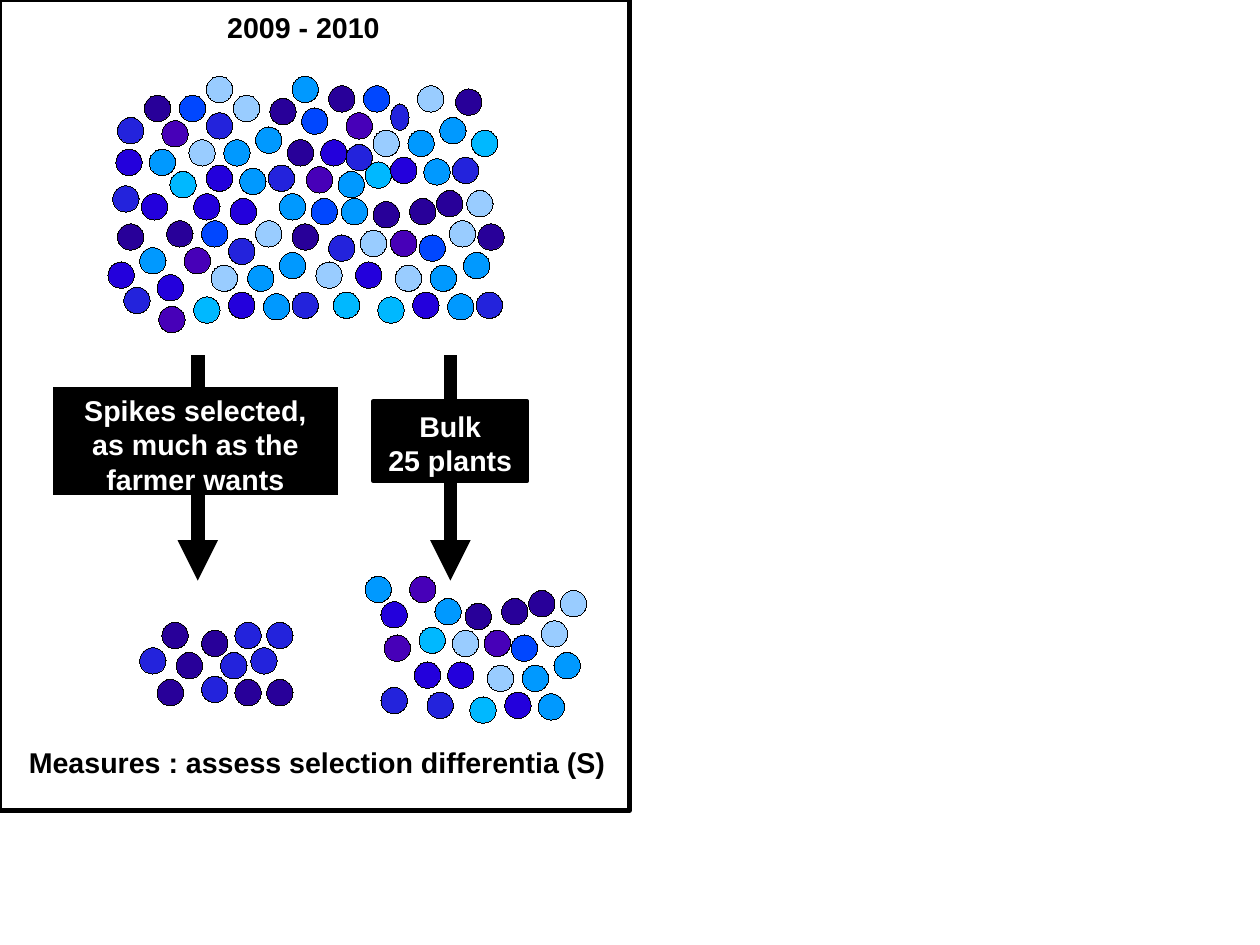
import pptx
import pptx.util
import pptx.dml.color
import pptx.enum.shapes
import pptx.enum.text
import pptx.oxml
import pptx.oxml.ns

Pt = pptx.util.Pt
RGB = pptx.dml.color.RGBColor
SHAPE = pptx.enum.shapes.MSO_SHAPE
TEXT = pptx.enum.text

BLACK = RGB(0, 0, 0)
WHITE = RGB(255, 255, 255)
CYAN = RGB(0x00, 0xB8, 0xFF)
SKY = RGB(0x00, 0x99, 0xFF)
PALE = RGB(0x99, 0xCC, 0xFF)
AZURE = RGB(0x00, 0x47, 0xFF)
ROYAL = RGB(0x23, 0x23, 0xDC)
BLUE = RGB(0x23, 0x00, 0xDC)
PURPLE = RGB(0x47, 0x00, 0xB8)
NAVY = RGB(0x28, 0x00, 0x99)

# Left and top of every plant, in points, by colour
FIELD = {
    CYAN: [(297, 82), (238, 187), (122, 187), (107, 108), (230, 102), (210, 184)],
    PURPLE: [(193, 105), (116, 156), (102, 76), (218, 71), (246, 145), (100, 193)],
    SKY: [(271, 167), (282, 185), (292, 159), (156, 167), (166, 185), (176, 159),
          (141, 88), (151, 106), (161, 80), (257, 82), (267, 100), (277, 74),
          (176, 122), (215, 125), (88, 156), (184, 48), (94, 94), (213, 108)],
    PALE: [(249, 167), (283, 139), (133, 167), (161, 139), (119, 88), (147, 60),
           (235, 82), (263, 54), (199, 165), (227, 145), (130, 48), (294, 120)],
    ROYAL: [(71, 117), (300, 184), (144, 150), (184, 184), (130, 71), (169, 104),
            (285, 99), (207, 148), (78, 181), (218, 91), (74, 74)],
    AZURE: [(190, 68), (127, 139), (113, 60), (229, 54), (196, 125), (264, 148)],
    BLUE: [(260, 184), (122, 122), (144, 184), (99, 173), (130, 104), (73, 94),
           (246, 99), (202, 88), (145, 125), (224, 165), (68, 165), (89, 122)],
    NAVY: [(181, 88), (301, 141), (105, 139), (184, 141), (91, 60), (170, 62),
           (207, 54), (287, 56), (235, 127), (74, 141), (258, 125), (275, 120)],
}
BULK = {
    SKY: [(329, 419), (339, 437), (349, 411), (274, 377), (230, 363)],
    PALE: [(307, 419), (341, 391), (285, 397), (353, 372)],
    CYAN: [(296, 439), (264, 395)],
    BLUE: [(318, 436), (282, 417), (240, 379), (261, 417)],
    PURPLE: [(305, 397), (258, 363), (242, 400)],
    NAVY: [(293, 380), (316, 377), (333, 372)],
    AZURE: [(322, 400)],
    ROYAL: [(240, 433), (269, 436)],
}
SPIKES = {
    NAVY: [(99, 428), (102, 392), (111, 411), (148, 428), (168, 428), (127, 397)],
    ROYAL: [(148, 392), (168, 392), (158, 408), (88, 408), (139, 411), (127, 426)],
}
DOT = 16.6
SLIM = (246.2, 65.5, 11.5, DOT)
HAIR = 0.01

YEARS = "2009 - 2010"
NOTE = "Measures : assess selection differentia (S)"
# Lines, box, outline width, side and top insets
STEPS = [
    (["Spikes selected, as much as the farmer wants"],
     (33.8, 244.1, 178.6, 67.7), HAIR, 7.2, 3.6),
    (["Bulk", "25 plants"], (235.4, 252.7, 96.5, 50.4), 2.83, 8.6, 5),
]
ARROWS = [124.6, 283.7]
START, END = 223.9, 365.8

deck = pptx.Presentation()
deck.slide_width, deck.slide_height = Pt(793.7), Pt(595.28)
slide = deck.slides.add_slide(deck.slide_layouts[5])
shapes = slide.shapes


def place(shape, box):
    shape.left, shape.top, shape.width, shape.height = map(Pt, box)


def draw(kind, box, fill, line):
    shape = shapes.add_shape(kind, *map(Pt, box))
    shape.shadow.inherit = False
    if fill is None:
        shape.fill.background()
    else:
        shape.fill.solid()
        shape.fill.fore_color.rgb = fill
    shape.line.color.rgb = BLACK
    shape.line.width = Pt(line)
    return shape


def write(shape, lines, color, side=7.2, edge=3.6):
    frame = shape.text_frame
    frame.word_wrap = True
    frame.auto_size = TEXT.MSO_AUTO_SIZE.NONE
    frame.vertical_anchor = TEXT.MSO_ANCHOR.TOP
    frame.margin_left = frame.margin_right = Pt(side)
    frame.margin_top = frame.margin_bottom = Pt(edge)
    for i, line in enumerate(lines):
        para = frame.add_paragraph() if i else frame.paragraphs[0]
        para.alignment = TEXT.PP_ALIGN.CENTER
        run = para.add_run()
        run.text = line
        font = run.font
        font.name, font.size, font.bold = "Arial", Pt(18), True
        font.color.rgb = color


def arrow(x):
    line = shapes.add_connector(
        pptx.enum.shapes.MSO_CONNECTOR.STRAIGHT, Pt(x), Pt(START), Pt(x), Pt(END))
    line.line.color.rgb = BLACK
    line.line.width = Pt(8.5)
    props = line._element.spPr
    stroke = props.find(pptx.oxml.ns.qn("a:ln"))
    space = pptx.oxml.ns.nsdecls("a")
    stroke.append(pptx.oxml.parse_xml(f'<a:tailEnd {space} type="triangle"/>'))
    props.append(pptx.oxml.parse_xml(f"<a:effectLst {space}/>"))


title = shapes.title
place(title, (0, 2.9, 382.3, 28))
write(title, [YEARS], BLACK)

for group in (FIELD, BULK, SPIKES):
    for color, spots in group.items():
        for x, y in spots:
            draw(SHAPE.OVAL, (x, y, DOT, DOT), color, HAIR)
draw(SHAPE.OVAL, SLIM, ROYAL, HAIR)

note = shapes.add_textbox(*map(Pt, (-5.8, 465.8, 411.1, 27.4)))
write(note, [NOTE], BLACK)
draw(SHAPE.RECTANGLE, (0, 0, 396.7, 510.5), None, 2.83)

for x in ARROWS:
    arrow(x)
for lines, box, width, side, edge in STEPS:
    step = draw(SHAPE.RECTANGLE, box, BLACK, width)
    write(step, lines, WHITE, side, edge)

deck.save("out.pptx")
